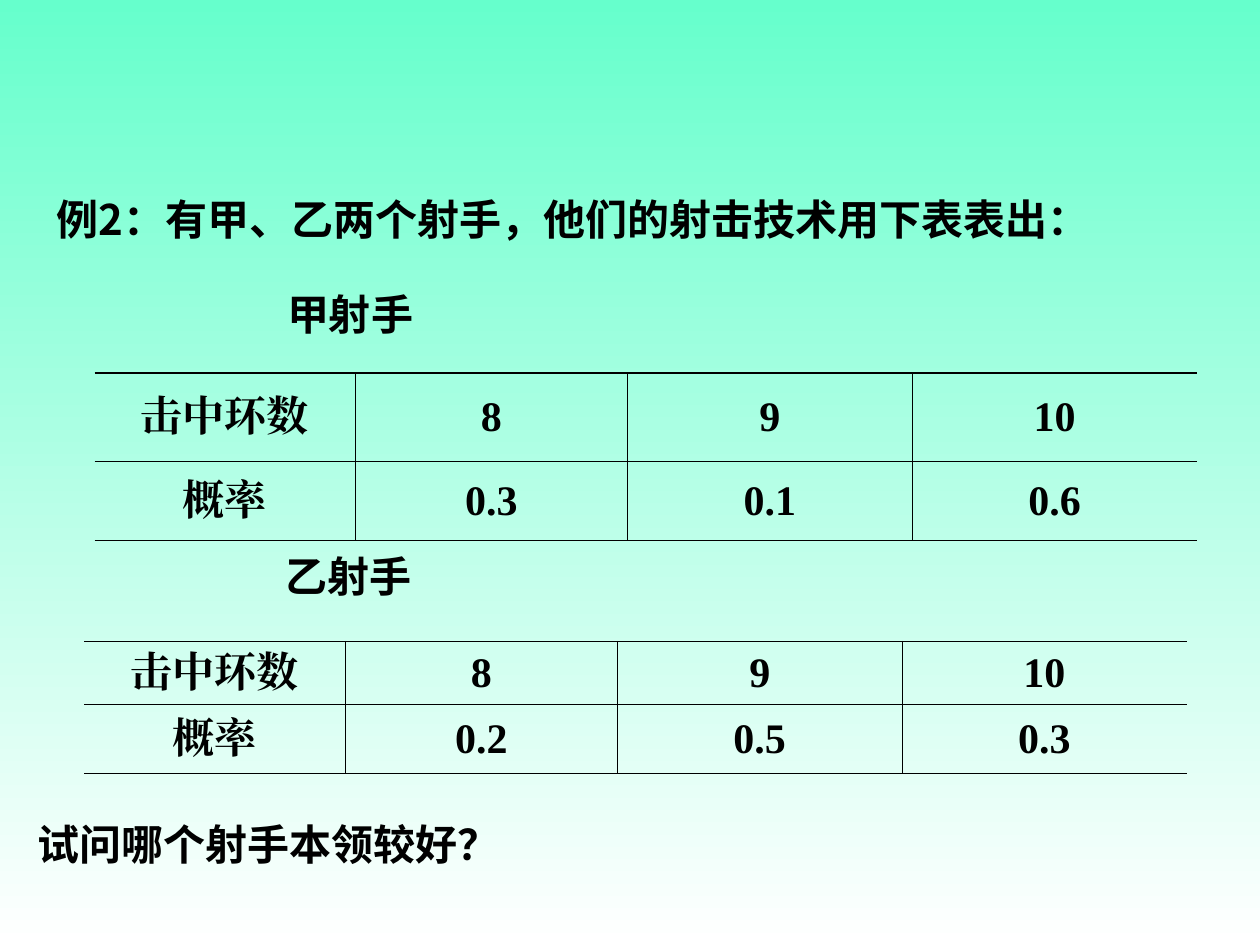
from dataclasses import dataclass

from lxml.etree import SubElement
from pptx import Presentation
from pptx.dml.color import RGBColor
from pptx.enum.text import MSO_ANCHOR, PP_ALIGN
from pptx.oxml.ns import qn
from pptx.util import Inches, Pt

BLACK = RGBColor(0x00, 0x00, 0x00)
MINT = RGBColor(0x66, 0xFF, 0xCC)
WHITE = RGBColor(0xFF, 0xFF, 0xFF)
CJK_FONT = "Noto Sans CJK SC"
TABLE_FONT = "Times New Roman"
COL_WIDTHS = (2.07, 2.16, 2.26, 2.26)
THIN, THICK = 0.45, 0.75


@dataclass
class Line:
    text: str
    indent: float = 0
    space_before: float = 0


@dataclass
class TextBlock:
    left: float
    top: float
    height: float
    lines: list[Line]


@dataclass
class ScoreTable:
    left: float
    top: float
    row_heights: tuple[float, float]
    probabilities: tuple[str, str, str]


TEXTS = [
    TextBlock(0.35, 1.47, 1.36, [
        Line("例2：有甲、乙两个射手，他们的射击技术用下表表出："),
        Line("甲射手", indent=1.83, space_before=24),
    ]),
    TextBlock(0.2, 4.3, 0.52, [Line("乙射手", indent=1.97)]),
    TextBlock(0.2, 6.43, 0.52, [Line("试问哪个射手本领较好？")]),
]
TABLES = [
    ScoreTable(0.75, 2.96, (0.7, 0.63), ("0.3", "0.1", "0.6")),
    ScoreTable(0.67, 5.09, (0.5, 0.55), ("0.2", "0.5", "0.3")),
]


def format_run(r, font_name: str) -> None:
    r.font.size = Pt(24)
    r.font.bold = True
    r.font.color.rgb = BLACK
    r.font.name = font_name
    SubElement(r.font._element, qn("a:ea")).set("typeface", font_name)


def add_text(s, block: TextBlock) -> None:
    box = s.shapes.add_textbox(Inches(block.left), Inches(block.top),
                               Inches(9.27), Inches(block.height))
    tf = box.text_frame
    tf.word_wrap = True
    for i, line in enumerate(block.lines):
        p = tf.add_paragraph() if i else tf.paragraphs[0]
        p.text = line.text
        p.line_spacing = 1.05
        if line.space_before:
            p.space_before = Pt(line.space_before)
        if line.indent:
            pPr = p._p.get_or_add_pPr()
            pPr.set("marL", str(Inches(line.indent)))
            pPr.set("indent", "0")
        format_run(p.runs[0], CJK_FONT)


def set_borders(cell, widths: dict[str, float]) -> None:
    """Draw the sides L, R, T, B in points; a width of 0 hides the side."""
    tcPr = cell._tc.get_or_add_tcPr()
    for side, width in widths.items():
        ln = SubElement(tcPr, qn(f"a:ln{side}"), w=str(Pt(width)))
        if width:
            fill = SubElement(ln, qn("a:solidFill"))
            SubElement(fill, qn("a:srgbClr"), val=str(BLACK))
        else:
            SubElement(ln, qn("a:noFill"))


def add_score_table(s, score: ScoreTable) -> None:
    rows = (("击中环数", "8", "9", "10"), ("概率", *score.probabilities))
    last_row, last_col = len(rows) - 1, len(COL_WIDTHS) - 1
    table = s.shapes.add_table(
        len(rows), len(COL_WIDTHS), Inches(score.left), Inches(score.top),
        Inches(sum(COL_WIDTHS)), Inches(sum(score.row_heights))).table
    table.first_row = table.horz_banding = False
    for column, width in zip(table.columns, COL_WIDTHS):
        column.width = Inches(width)
    for i, (row, height) in enumerate(zip(rows, score.row_heights)):
        table.rows[i].height = Inches(height)
        for j, text in enumerate(row):
            cell = table.cell(i, j)
            set_borders(cell, {
                "L": THIN if j else 0,
                "R": THIN if j < last_col else 0,
                "T": THIN if i else THICK,
                "B": THIN if i < last_row else THICK,
            })
            cell.fill.background()
            cell.vertical_anchor = MSO_ANCHOR.MIDDLE
            p = cell.text_frame.paragraphs[0]
            p.text = text
            p.alignment = PP_ALIGN.CENTER
            format_run(p.runs[0], TABLE_FONT)


def set_background(s) -> None:
    fill = s.background.fill
    fill.gradient()
    fill.gradient_angle = 270
    for stop, color, position in zip(fill.gradient_stops, (MINT, WHITE), (0, 1)):
        stop.color.rgb = color
        stop.position = position


def main() -> None:
    prs = Presentation()
    prs.slide_width, prs.slide_height = Inches(10), Inches(7.5)
    s = prs.slides.add_slide(prs.slide_layouts[6])
    set_background(s)
    for block in TEXTS:
        add_text(s, block)
    for score in TABLES:
        add_score_table(s, score)
    prs.save("out.pptx")


if __name__ == "__main__":
    main()
